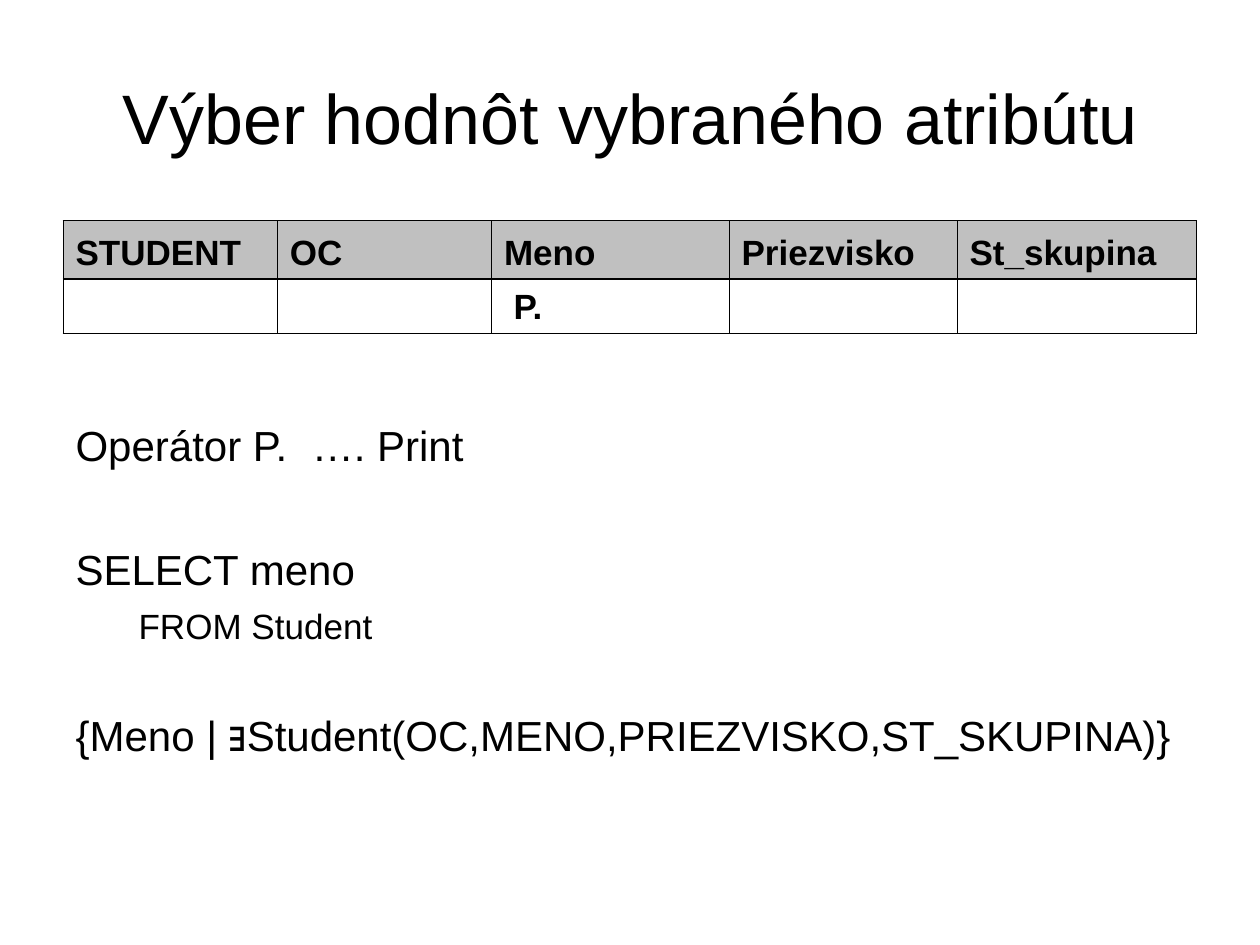
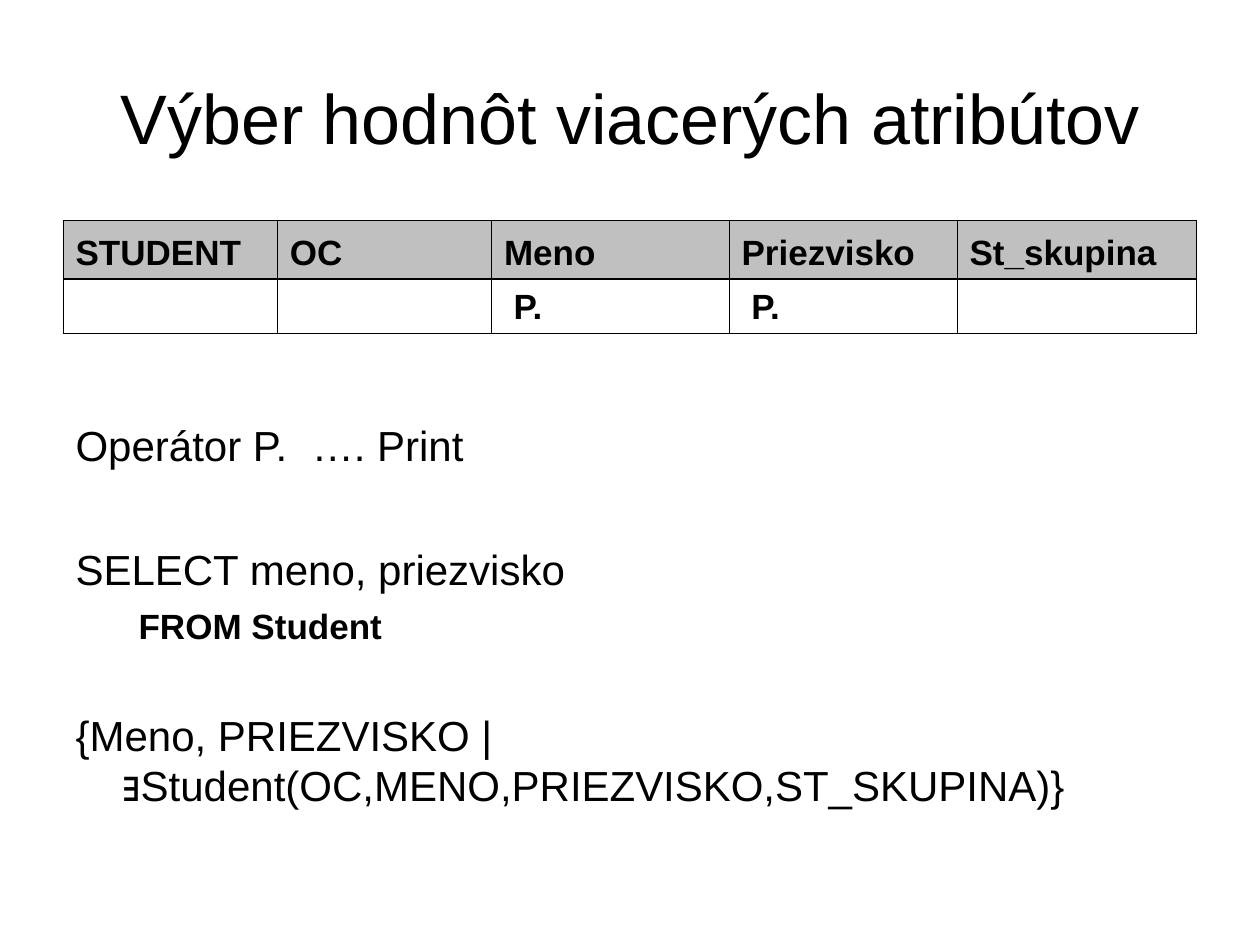
from lxml.etree import SubElement
from pptx import Presentation
from pptx.dml.color import RGBColor
from pptx.enum.text import MSO_ANCHOR, MSO_AUTO_SIZE, PP_ALIGN
from pptx.oxml.ns import qn
from pptx.util import Pt

COLOURS = {"text": "000000", "border": "000000", "header": "C0C0C0"}
FONT = "Arial"
LEFT, WIDTH = 36, 648
COLUMN_WIDTHS = (122.4, 122.4, 135.8, 130.3, 136.6)
ROW_HEIGHTS = (33.4, 31.2)
HEADINGS = ("STUDENT", "OC", "Meno", "Priezvisko", "St_skupina")
THIN, THICK = 0.45, 0.96
PRINT_TAB = 244


def write(paragraph, text, size=24, bold=False, align=PP_ALIGN.LEFT, before=0):
    """Add a run of text to a paragraph and format both."""
    paragraph.alignment = align
    paragraph.space_before = Pt(before)
    run = paragraph.add_run()
    run.text = text
    run.font.name = FONT
    run.font.size = Pt(size)
    run.font.bold = bold
    run.font.color.rgb = RGBColor.from_string(COLOURS["text"])


class SlideBuilder:
    def __init__(self, presentation):
        self.presentation = presentation
        self.slide = None

    def new_slide(self):
        layout = self.presentation.slide_layouts[1]
        self.slide = self.presentation.slides.add_slide(layout)

    def place(self, placeholder, top, height, anchor):
        placeholder.left, placeholder.top = Pt(LEFT), Pt(top)
        placeholder.width, placeholder.height = Pt(WIDTH), Pt(height)
        frame = placeholder.text_frame
        frame.word_wrap = True
        frame.auto_size = MSO_AUTO_SIZE.NONE
        frame.vertical_anchor = anchor
        return frame

    def title(self, text):
        frame = self.place(self.slide.shapes.title, 21.6, 90, MSO_ANCHOR.MIDDLE)
        write(frame.paragraphs[0], text, size=40, align=PP_ALIGN.CENTER)

    def borders(self, cell, top, bottom):
        properties = cell._tc.get_or_add_tcPr()
        sides = (("L", THIN), ("R", THIN), ("T", top), ("B", bottom))
        for position, (side, width) in enumerate(sides):
            line = SubElement(properties, qn(f"a:ln{side}"), w=str(Pt(width)))
            fill = SubElement(line, qn("a:solidFill"))
            SubElement(fill, qn("a:srgbClr"), val=COLOURS["border"])
            properties.insert(position, line)

    def query_table(self, printed):
        """Draw the query form with P. under each printed attribute."""
        table = self.slide.shapes.add_table(
            2, len(HEADINGS), Pt(LEFT), Pt(126),
            Pt(sum(COLUMN_WIDTHS)), Pt(sum(ROW_HEIGHTS))).table
        table.first_row = table.horz_banding = False
        for column, width in zip(table.columns, COLUMN_WIDTHS):
            column.width = Pt(width)
        for row, height in zip(table.rows, ROW_HEIGHTS):
            row.height = Pt(height)
        for index, heading in enumerate(HEADINGS):
            header, value = table.cell(0, index), table.cell(1, index)
            header.fill.solid()
            header.fill.fore_color.rgb = RGBColor.from_string(COLOURS["header"])
            value.fill.background()
            self.borders(header, THIN, THICK)
            self.borders(value, THICK, THIN)
            header.vertical_anchor = value.vertical_anchor = MSO_ANCHOR.BOTTOM
            write(header.text_frame.paragraphs[0], heading, size=20, bold=True)
            if heading in printed:
                write(value.text_frame.paragraphs[0], " P.", size=20, bold=True)

    def body_line(self, paragraph, parts, level=0, **style):
        """Write (text, bold) parts as one line without a bullet."""
        margin, indent = ((27, -27), (58.5, -22.5))[level]
        paragraph.level = level
        properties = paragraph._p.get_or_add_pPr()
        properties.set("marL", str(Pt(margin)))
        properties.set("indent", str(Pt(indent)))
        SubElement(properties, qn("a:buNone"))
        if any("\t" in text for text, bold in parts):
            tabs = SubElement(properties, qn("a:tabLst"))
            SubElement(tabs, qn("a:tab"), pos=str(Pt(PRINT_TAB)), algn="l")
        for text, bold in parts:
            write(paragraph, text, bold=bold, **style)

    def body(self, attributes, result, bold_from):
        frame = self.place(self.slide.placeholders[1], 236.2, 272.2, MSO_ANCHOR.TOP)
        # Operator, SQL query and relational calculus
        self.body_line(frame.paragraphs[0], [("Operátor P.\t…. Print", False)])
        self.body_line(frame.add_paragraph(), [(f"SELECT {attributes}", False)], before=42)
        self.body_line(frame.add_paragraph(), [("FROM Student", bold_from)],
                       level=1, size=20, before=6)
        self.body_line(frame.add_paragraph(), [
            (f"{{{result} | ", False), ("∃", True),
            ("Student(OC,MENO,PRIEZVISKO,ST_SKUPINA)}", False)], before=36)


def main():
    presentation = Presentation()
    presentation.slide_width, presentation.slide_height = Pt(720), Pt(540)
    builder = SlideBuilder(presentation)

    # One attribute
    builder.new_slide()
    builder.title("Výber hodnôt vybraného atribútu")
    builder.query_table(printed=("Meno",))
    builder.body("meno", "Meno", bold_from=False)

    # Several attributes
    builder.new_slide()
    builder.title("Výber hodnôt viacerých atribútov")
    builder.query_table(printed=("Meno", "Priezvisko"))
    builder.body("meno, priezvisko", "Meno, PRIEZVISKO", bold_from=True)

    presentation.save("out.pptx")


if __name__ == "__main__":
    main()
